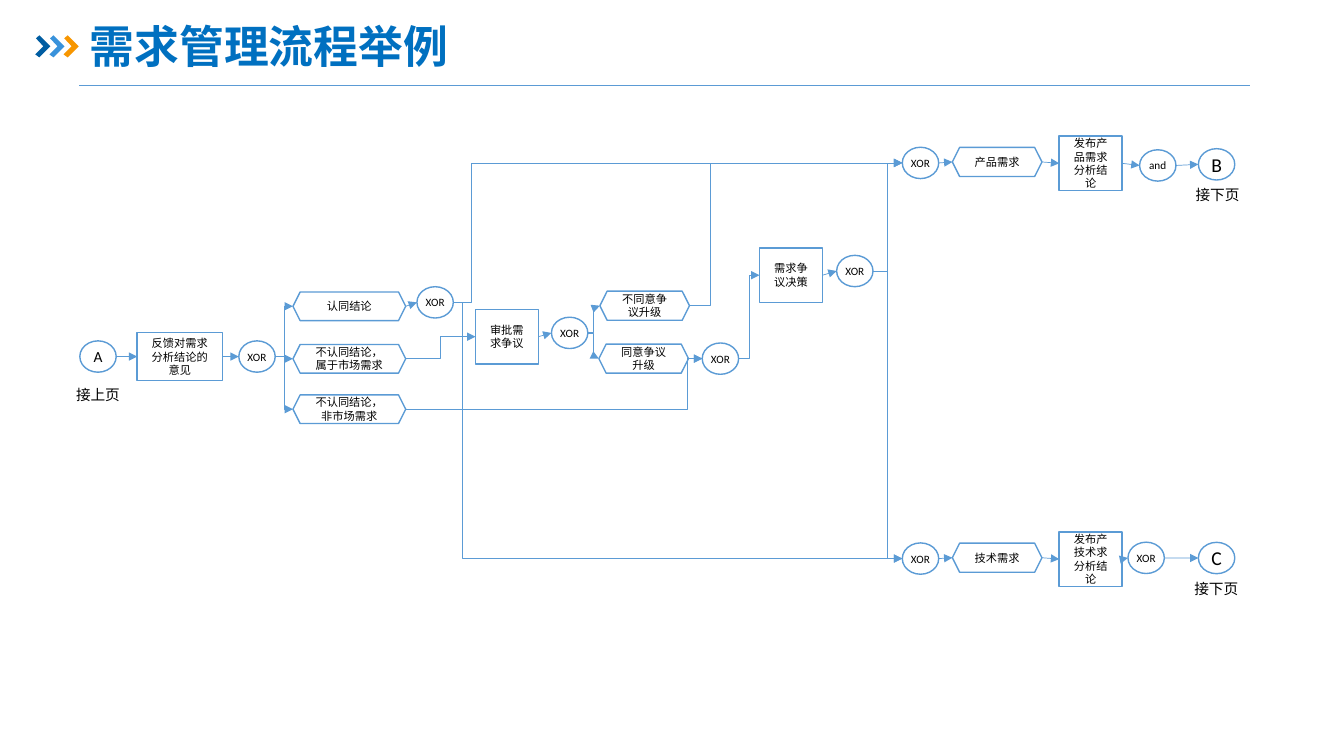
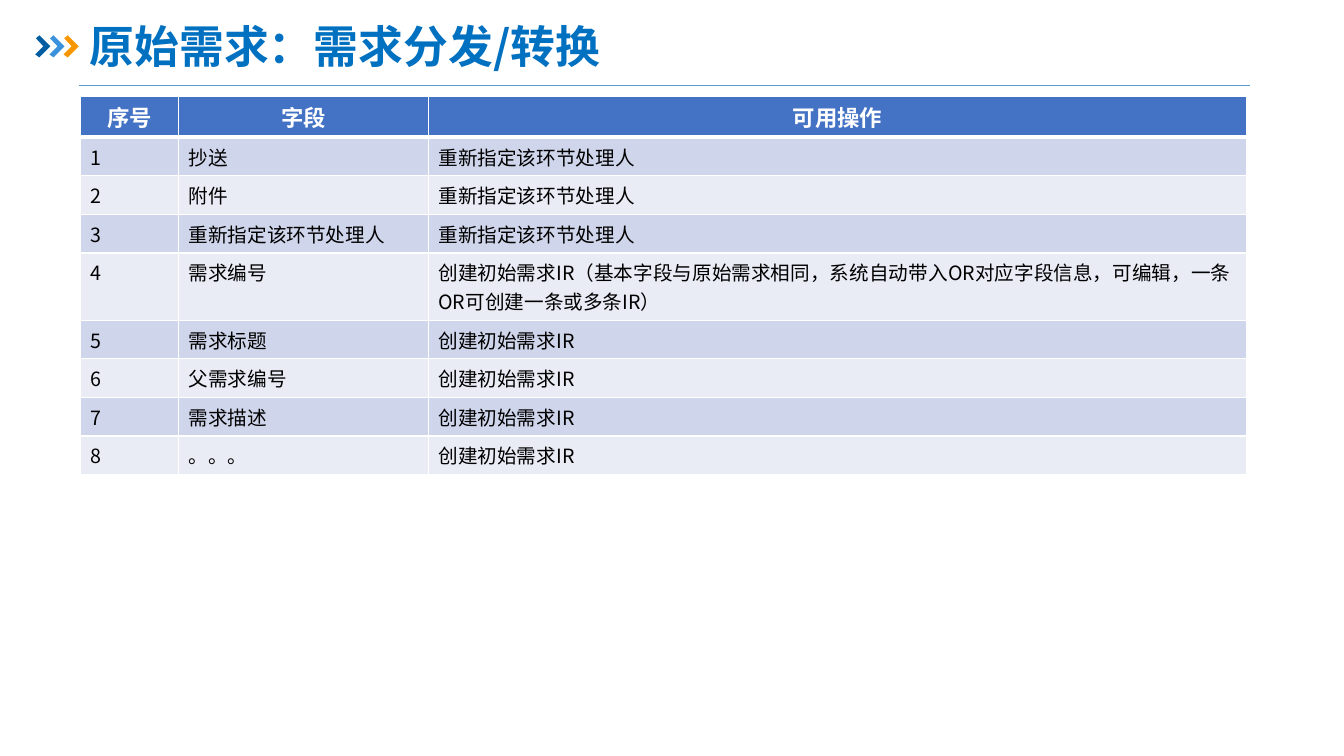
import lxml.etree
import pptx
import pptx.dml.color
import pptx.enum.shapes
import pptx.enum.text
import pptx.oxml.ns
import pptx.util

Pt = pptx.util.Pt
qn = pptx.oxml.ns.qn
rgb = pptx.dml.color.RGBColor.from_string
sub = lxml.etree.SubElement
SHAPE = pptx.enum.shapes.MSO_SHAPE
LINK = pptx.enum.shapes.MSO_CONNECTOR
ALIGN = pptx.enum.text.PP_ALIGN
MIDDLE = pptx.enum.text.MSO_ANCHOR.MIDDLE

CJK = "Noto Sans CJK SC"
BLUE, WHITE, BLACK = "5B9BD5", "FFFFFF", "000000"


def write(frame, text, size, face=CJK, color=BLACK, bold=False, align=ALIGN.CENTER):
    """Fill a text frame with one paragraph and return it."""
    frame.word_wrap = True
    para = frame.paragraphs[0]
    para.text = text
    para.alignment = align
    font = para.font
    font.size, font.name, font.bold = Pt(size), face, bold
    font.color.rgb = rgb(color)
    sub(para._p.pPr.find(qn("a:defRPr")), qn("a:ea"), typeface=CJK)
    return para


def draw(slide, kind, *ends):
    """Add a thin blue line without shadow, from x, y to x, y."""
    line = slide.shapes.add_connector(kind, *[Pt(end) for end in ends])
    line.line.width = Pt(0.5)
    line.line.color.rgb = rgb(BLUE)
    sub(line._element.spPr, qn("a:effectLst"))
    return line


deck = pptx.Presentation()
deck.slide_width, deck.slide_height = Pt(960), Pt(540)

# Shared header: rule, three chevrons, title
chevron = [(0.5, 2.2), (2.9, 0), (10.8, 7.9), (2.9, 15.8), (0, 13.7), (5.8, 7.9)]
slides = []
for title in ("需求管理流程举例", "原始需求：需求分发/转换"):
    slide = deck.slides.add_slide(deck.slide_layouts[6])
    slides.append(slide)
    draw(slide, LINK.STRAIGHT, 56.5, 60.7, 893, 60.7)
    for i, color in enumerate(("005DA2", "3992DB", "F79600")):
        dots = [(Pt(25.2 + 10.1 * i + x), Pt(25.2 + y)) for x, y in chevron]
        path = slide.shapes.build_freeform(*dots[0])
        path.add_line_segments(dots[1:], close=True)
        mark = path.convert_to_shape()
        mark.shadow.inherit = False
        mark.fill.solid()
        mark.fill.fore_color.rgb = rgb(color)
        mark.line.fill.background()
    box = slide.shapes.add_textbox(Pt(57), Pt(13.7), Pt(828), Pt(42.5))
    box.text_frame.vertical_anchor = MIDDLE
    para = write(box.text_frame, title, 32, color="0070C0", bold=True, align=ALIGN.LEFT)
    para.line_spacing = 0.9

flow, sheet = slides

# Flow nodes: shape, width, height for each kind
kinds = {
    "gate": (SHAPE.OVAL, 26, 22.4),
    "task": (SHAPE.RECTANGLE, 45, 39),
    "wide": (SHAPE.RECTANGLE, 61, 34),
    "event": (SHAPE.HEXAGON, 64, 20.8),
    "long": (SHAPE.HEXAGON, 80.5, 20.5),
}
# name: kind, left, middle height, text, size
nodes = {
    "A": ("gate", 57, 254.7, "A", 11),
    "reply": ("wide", 98, 254.7, "反馈对需求分析结论的意见", 8),
    "sort": ("gate", 170.6, 254.7, "XOR", 8),
    "agree": ("long", 209.3, 218.8, "认同结论", 8),
    "market": ("long", 209.3, 256.3, "不认同结论，属于市场需求", 8),
    "other": ("long", 209.3, 292.3, "不认同结论，非市场需求", 8),
    "split": ("gate", 297.8, 216, "XOR", 8),
    "review": ("task", 339.6, 240.5, "审批需求争议", 8),
    "judge": ("gate", 393.9, 237.8, "XOR", 8),
    "stay": ("event", 428.5, 218.4, "不同意争议升级", 8),
    "raise": ("event", 427.8, 256.2, "同意争议升级", 8),
    "merge": ("gate", 501.6, 256.2, "XOR", 8),
    "decide": ("task", 542.5, 196.6, "需求争议决策", 8),
    "route": ("gate", 597.6, 193.6, "XOR", 8),
    "top": ("gate", 644.5, 116.4, "XOR", 8),
    "product": ("event", 680.3, 115.7, "产品需求", 8),
    "issue": ("task", 756.6, 116.7, "发布产品需求分析结论", 8),
    "and": ("gate", 814, 118.2, "and", 8),
    "B": ("gate", 856, 117.4, "B", 14),
    "base": ("gate", 644.5, 399, "XOR", 8),
    "tech": ("event", 680.3, 398.4, "技术需求", 8),
    "post": ("task", 756.6, 399.4, "发布产技术求分析结论", 8),
    "pass": ("gate", 805.7, 398.5, "XOR", 8),
    "C": ("gate", 856, 398.6, "C", 14),
}
made = {}
for name, (kind, left, mid, text, size) in nodes.items():
    form, wide, high = kinds[kind]
    node = flow.shapes.add_shape(form, Pt(left), Pt(mid - high / 2), Pt(wide), Pt(high))
    node.shadow.inherit = False
    node.fill.solid()
    node.fill.fore_color.rgb = rgb(WHITE)
    node.line.color.rgb = rgb(BLUE)
    node.line.width = Pt(1)
    frame = node.text_frame
    frame.vertical_anchor = MIDDLE
    if kind == "gate":
        frame.margin_left = frame.margin_right = 0
        frame.margin_top = frame.margin_bottom = 0
    write(frame, text, size, "Calibri")
    made[name] = node

# Straight runs, then elbows with the share of the width before the bend
runs = [
    ("A", "reply", "sort"),
    ("agree", "split"),
    ("review", "judge"),
    ("raise", "merge"),
    ("decide", "route"),
    ("top", "product", "issue", "and", "B"),
    ("base", "tech", "post", "pass", "C"),
]
links = [(a, b, None) for run in runs for a, b in zip(run, run[1:])]
links += [
    ("sort", "agree", 0.5),
    ("sort", "market", 0.5),
    ("sort", "other", 0.5),
    ("split", "top", 0.04),
    ("split", "base", 0.02),
    ("market", "review", 0.5),
    ("other", "merge", 0.95),
    ("judge", "stay", 0.5),
    ("judge", "raise", 0.5),
    ("stay", "top", 0.1),
    ("merge", "decide", 0.5),
    ("route", "top", 0.5),
    ("route", "base", 0.5),
]
for a, b, bend in links:
    kind, left, mid = nodes[a][:3]
    goal, stop, level = nodes[b][:3]
    form = LINK.ELBOW if bend else LINK.STRAIGHT
    line = draw(flow, form, left + kinds[kind][1], mid, stop, level)
    sub(line.line._get_or_add_ln(), qn("a:tailEnd"), type="triangle")
    if bend:
        guides = line._element.spPr.find(qn("a:prstGeom")).get_or_add_avLst()
        sub(guides, qn("a:gd"), name="adj1", fmla=f"val {round(bend * 100000)}")
        continue
    if kind in ("task", "wide"):
        line.begin_connect(made[a], 3)
    if goal in ("task", "wide"):
        line.end_connect(made[b], 1)

for left, top, text in ((42, 272, "接上页"), (841.7, 129.3, "接下页"), (840.8, 410.3, "接下页")):
    box = flow.shapes.add_textbox(Pt(left), Pt(top), Pt(56), Pt(20))
    write(box.text_frame, text, 10.5)

# Field table
again, create = "重新指定该环节处理人", "创建初始需求IR"
rows = [
    ("序号", "字段", "可用操作"),
    ("1", "抄送", again),
    ("2", "附件", again),
    ("3", again, again),
    ("4", "需求编号", create + "（基本字段与原始需求相同，系统自动带入OR对应字段信息，"
     "可编辑，一条OR可创建一条或多条IR）"),
    ("5", "需求标题", create),
    ("6", "父需求编号", create),
    ("7", "需求描述", create),
    ("8", "。。。", create),
]
grid = sheet.shapes.add_table(len(rows), 3, Pt(57.5), Pt(68.5), Pt(833), Pt(270)).table
for col, wide in zip(grid.columns, (70, 178.5, 584.5)):
    col.width = Pt(wide)
for r, row in enumerate(rows):
    grid.rows[r].height = Pt({0: 29.5, 4: 48}.get(r, 27.6))
    for c, text in enumerate(row):
        cell = grid.cell(r, c)
        for side in "LRTB":
            thick = (r, side) in ((0, "B"), (1, "T"))
            edge = sub(cell._tc.get_or_add_tcPr(), qn("a:ln" + side), w=str(Pt(3 if thick else 1)))
            sub(sub(edge, qn("a:solidFill")), qn("a:srgbClr"), val=WHITE)
        cell.fill.solid()
        if r == 0:
            cell.fill.fore_color.rgb = rgb("4472C4")
            write(cell.text_frame, text, 16, color=WHITE, bold=True)
        else:
            cell.fill.fore_color.rgb = rgb("CFD5EA" if r % 2 else "E9EBF5")
            write(cell.text_frame, text, 14, align=ALIGN.LEFT)

deck.save("out.pptx")
